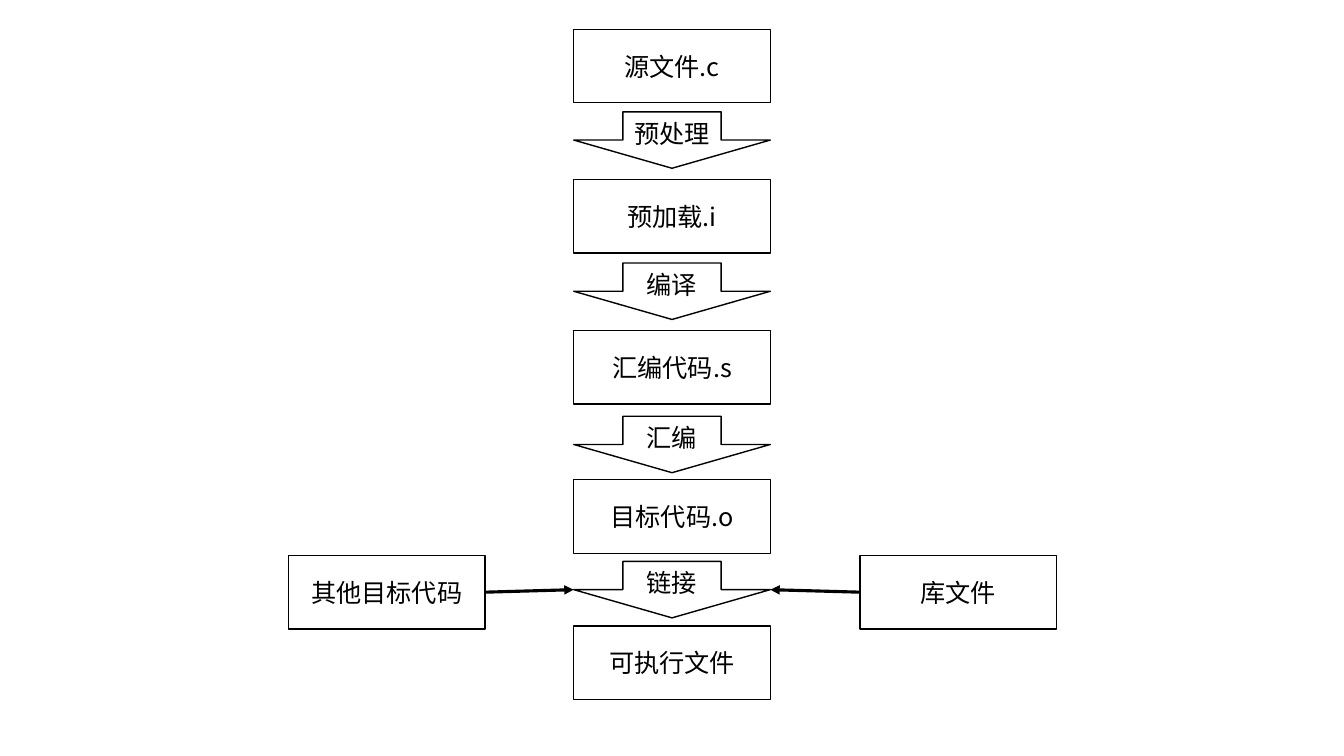
from dataclasses import dataclass

from lxml import etree
from pptx import Presentation
from pptx.dml.color import RGBColor
from pptx.enum.shapes import MSO_CONNECTOR, MSO_SHAPE
from pptx.enum.text import MSO_ANCHOR, PP_ALIGN
from pptx.oxml.ns import qn
from pptx.util import Inches, Pt

BOX = MSO_SHAPE.FLOWCHART_PROCESS
DOWN_ARROW = MSO_SHAPE.DOWN_ARROW
STRAIGHT = MSO_CONNECTOR.STRAIGHT
CENTER = PP_ALIGN.CENTER
MIDDLE = MSO_ANCHOR.MIDDLE
LEFT_SITE, RIGHT_SITE = 1, 3
BLANK_LAYOUT = 6


@dataclass(frozen=True)
class Theme:
    """Colours, type and line sizes of the slide."""
    ink: RGBColor = RGBColor(0, 0, 0)
    font: str = "Noto Sans CJK SC"
    text_size: float = 18
    outline: float = 1
    link: float = 2.25


THEME = Theme()
WIDTH, BOX_HEIGHT, ARROW_HEIGHT = 1.95, 0.73, 0.56
MAIN_LEFT, OBJECTS_LEFT, LIBRARY_LEFT = 5.69, 2.86, 8.53
INPUT_TOP = 5.51

FILES = [
    ("源文件.c", 0.29),
    ("预加载.i", 1.78),
    ("汇编代码.s", 3.28),
    ("目标代码.o", 4.76),
    ("可执行文件", 6.21),
]
STEPS = [("预处理", 1.11), ("编译", 2.61), ("汇编", 4.13), ("链接", 5.57)]


def add_label(shape, text):
    """Write centred text in a shape, in Latin and East Asian fonts alike."""
    frame = shape.text_frame
    frame.word_wrap = True
    frame.vertical_anchor = MIDDLE
    paragraph = frame.paragraphs[0]
    paragraph.alignment = CENTER
    run = paragraph.add_run()
    run.text = text
    run.font.size = Pt(THEME.text_size)
    run.font.name = THEME.font
    run.font.color.rgb = THEME.ink
    east_asian = etree.SubElement(run.font._element, qn("a:ea"))
    east_asian.set("typeface", THEME.font)


def add_outlined(slide, kind, text, left, top, height):
    """Add an unfilled, outlined shape with a label."""
    shape = slide.shapes.add_shape(
        kind, Inches(left), Inches(top), Inches(WIDTH), Inches(height))
    shape.shadow.inherit = False
    shape.fill.background()
    shape.line.color.rgb = THEME.ink
    shape.line.width = Pt(THEME.outline)
    add_label(shape, text)
    return shape


def add_box(slide, text, left, top):
    """Add a file box."""
    return add_outlined(slide, BOX, text, left, top, BOX_HEIGHT)


def add_step(slide, text, top):
    """Add a block arrow for one build step."""
    return add_outlined(slide, DOWN_ARROW, text, MAIN_LEFT, top, ARROW_HEIGHT)


def add_link(slide, source, source_site, target, target_site):
    """Join two shapes with a line ending in a triangle."""
    connector = slide.shapes.add_connector(STRAIGHT, 0, 0, 0, 0)
    connector.begin_connect(source, source_site)
    connector.end_connect(target, target_site)
    connector.line.color.rgb = THEME.ink
    connector.line.width = Pt(THEME.link)
    line = connector.line._get_or_add_ln()
    etree.SubElement(line, qn("a:tailEnd")).set("type", "triangle")
    etree.SubElement(connector._element.spPr, qn("a:effectLst"))


def main():
    """Build the compilation flow slide."""
    presentation = Presentation()
    presentation.slide_width = Inches(13.33)
    presentation.slide_height = Inches(7.5)
    slide = presentation.slides.add_slide(
        presentation.slide_layouts[BLANK_LAYOUT])

    for text, top in FILES:
        add_box(slide, text, MAIN_LEFT, top)
    steps = [add_step(slide, text, top) for text, top in STEPS]
    linking = steps[-1]

    library = add_box(slide, "库文件", LIBRARY_LEFT, INPUT_TOP)
    other_objects = add_box(slide, "其他目标代码", OBJECTS_LEFT, INPUT_TOP)
    add_link(slide, other_objects, RIGHT_SITE, linking, LEFT_SITE)
    add_link(slide, library, LEFT_SITE, linking, RIGHT_SITE)

    presentation.save("out.pptx")


main()
